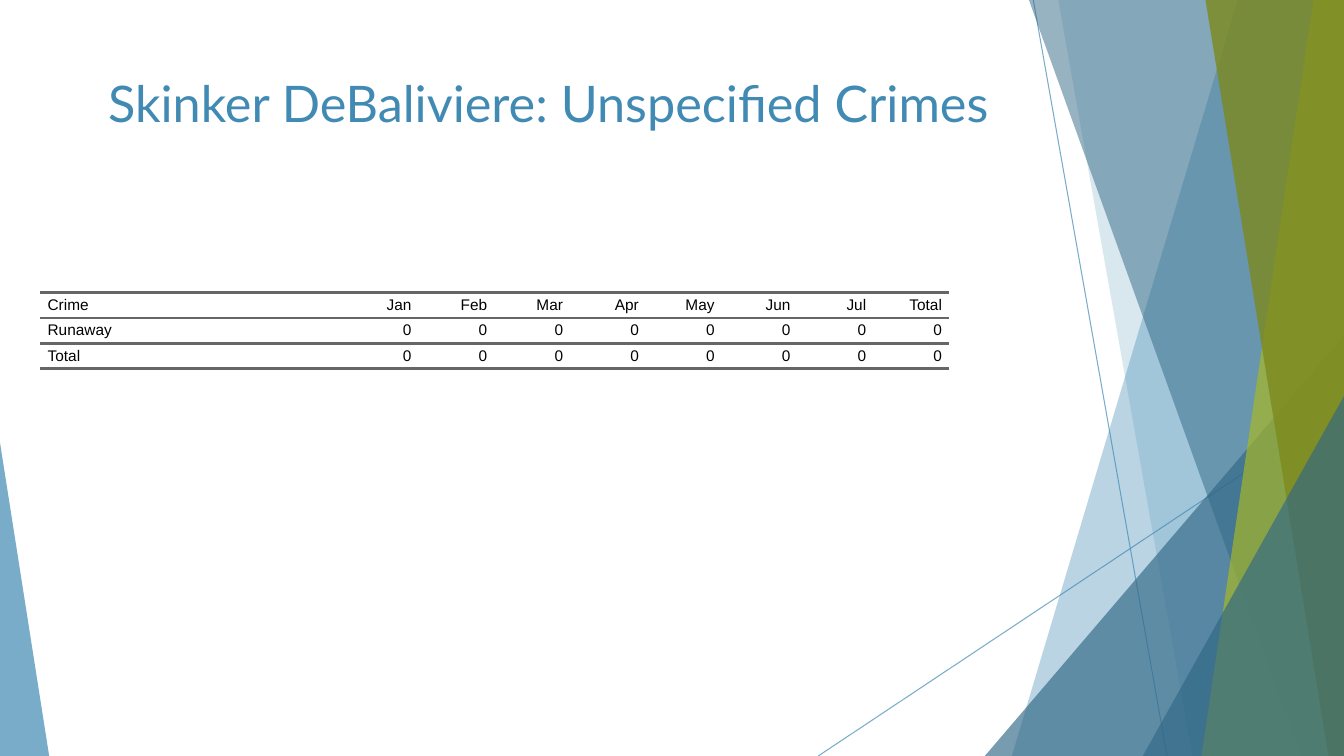
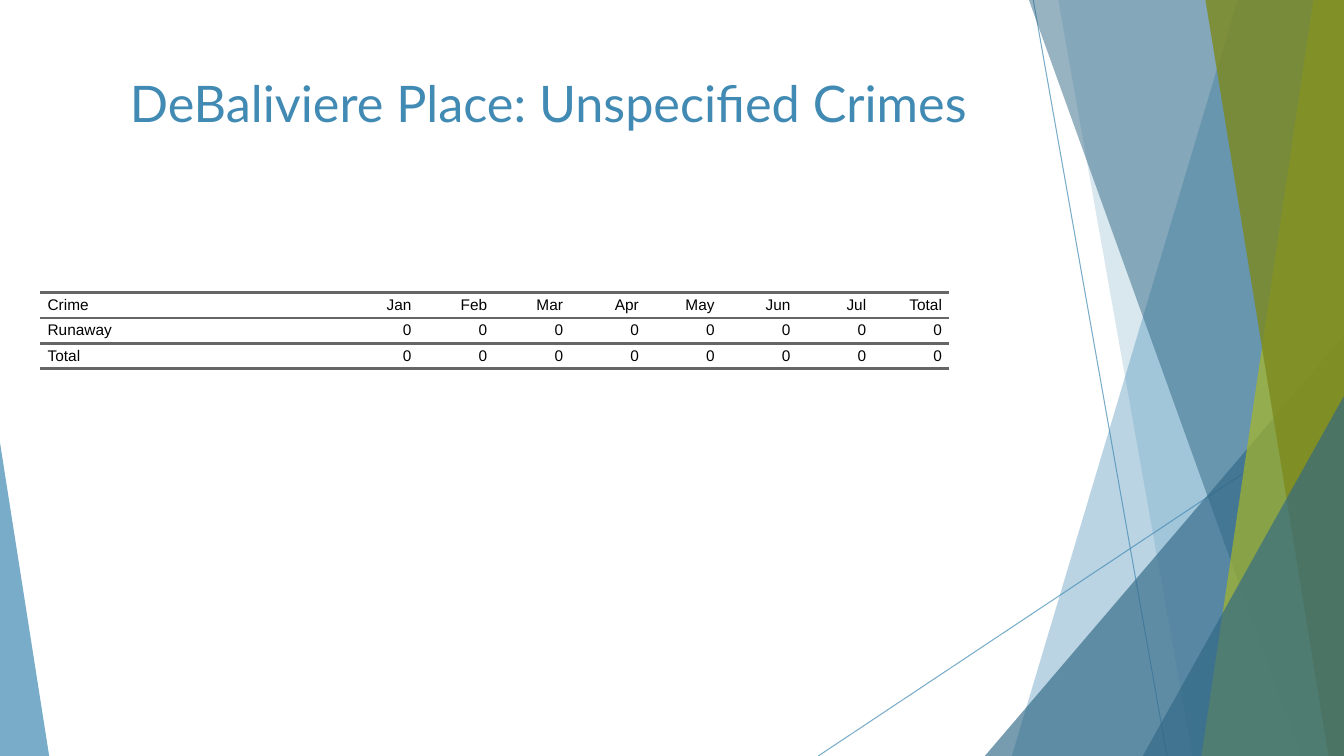
"""Two slides of monthly crime counts on one shared layout of slanted bands."""
from dataclasses import dataclass

from lxml import etree
from pptx import Presentation
from pptx.dml.color import RGBColor
from pptx.enum.shapes import MSO_CONNECTOR, MSO_SHAPE
from pptx.enum.text import MSO_ANCHOR, MSO_AUTO_SIZE, PP_ALIGN
from pptx.oxml.ns import qn
from pptx.util import Cm, Pt

STRAIGHT = MSO_CONNECTOR.STRAIGHT
TRIANGLE = MSO_SHAPE.ISOSCELES_TRIANGLE
TOP, MIDDLE = MSO_ANCHOR.TOP, MSO_ANCHOR.MIDDLE
LEFT, CENTER, RIGHT = PP_ALIGN.LEFT, PP_ALIGN.CENTER, PP_ALIGN.RIGHT
FIXED = MSO_AUTO_SIZE.NONE


@dataclass(frozen=True)
class Theme:
    """Colours, fonts and type sizes."""
    blue: str = "418AB3"
    navy: str = "316886"
    lime: str = "A6B727"
    olive: str = "7D891D"
    gray: str = "666666"
    black: str = "000000"
    head: str = "Lato"
    body: str = "Arial"
    big: int = 36
    small: int = 11
    thin: float = 0.75
    rule: int = 2


THEME = Theme()
WIDE, HIGH = 33.87, 19.05
PLAIN = "{2D5ABB26-0587-4C30-8999-92F81FD0307C}"

HEADER = ["Crime", "Jan", "Feb", "Mar", "Apr", "May", "Jun", "Jul", "Total"]
ZEROS = ["0"] * 8
SLIDES = [
    ("Skinker DeBaliviere: Unspecified Crimes",
     [HEADER, ["Runaway", *ZEROS], ["Total", *ZEROS]]),
    ("DeBaliviere Place: Unspecified Crimes",
     [HEADER, ["Runaway", *ZEROS], ["Total", *ZEROS]]),
]

DECOR = [
    ("line", (26.04, 0, 29.41, HIGH), THEME.blue, 70),
    ("line", (WIDE, 10.24, 20.62, HIGH), THEME.blue, 70),
    ("band", (31.19, 25.5), THEME.blue, 36),
    ("band", (26.67, 30.05), THEME.blue, 20),
    ("wedge", (24.82, 8.46, 9.05, 1), THEME.navy, 66),
    ("band", (25.93, 32.79), THEME.navy, 50),
    ("band", (33.1, 30.28), THEME.lime, 70),
    ("band", (30.38, 33.48), THEME.olive, 80),
    ("wedge", (28.8, 9.98, 5.07, 1), THEME.navy, 66),
    ("wedge", (0, 11.15, 1.24, 0), THEME.blue, 70),
]
TITLE = {"left": Cm(1.88), "top": Cm(1.7), "width": Cm(23.88), "height": Cm(3.66)}
GRID = {"left": 1.02, "top": 7.37, "first": 7.62, "col": 1.91, "row": 0.64}
PAD = Cm(0.18)


def apply(item, values):
    for name, value in values.items():
        setattr(item, name, value)


def style(part, font, size, color, align):
    part.alignment = align
    apply(part.font, {"name": font, "size": Pt(size), "bold": False})
    part.font.color.rgb = RGBColor.from_string(color)


def line(shapes, x1, y1, x2, y2):
    return shapes.add_connector(STRAIGHT, Cm(x1), Cm(y1), Cm(x2), Cm(y2))


def band(shapes, top, base):
    path = shapes.build_freeform(Cm(top), 0)
    points = [(WIDE, 0), (WIDE, HIGH), (base, HIGH)]
    path.add_line_segments([(Cm(x), Cm(y)) for x, y in points])
    return path.convert_to_shape()


def wedge(shapes, x, y, width, tip):
    shape = shapes.add_shape(TRIANGLE, Cm(x), Cm(y), Cm(width), Cm(HIGH - y))
    shape.adjustments[0] = tip
    return shape


def decorate(shapes, anchor):
    """Draw the bands and move them behind the layout's title."""
    makers = {"line": line, "band": band, "wedge": wedge}
    for kind, place, color, alpha in DECOR:
        shape = makers[kind](shapes, *place)
        rgb = RGBColor.from_string(color)
        if kind == "line":
            shape.line.color.rgb = rgb
            shape.line.width = Pt(THEME.thin)
            etree.SubElement(shape.element.spPr, qn("a:effectLst"))
        else:
            shape.fill.solid()
            shape.fill.fore_color.rgb = rgb
            shape.line.fill.background()
            shape.shadow.inherit = False
        for tint in shape.element.spPr.iter(qn("a:srgbClr")):
            etree.SubElement(tint, qn("a:alpha"), val=str(alpha * 1000))
        anchor.addprevious(shape.element)


def border(cell, side):
    props = cell._tc.get_or_add_tcPr()
    edge = etree.SubElement(props, qn(f"a:{side}"), w=str(Pt(THEME.rule)))
    fill = etree.SubElement(edge, qn("a:solidFill"))
    etree.SubElement(fill, qn("a:srgbClr"), val=THEME.gray)


def add_grid(shapes, rows):
    count, cols = len(rows), len(rows[0])
    width = GRID["first"] + GRID["col"] * (cols - 1)
    frame = shapes.add_table(count, cols, Cm(GRID["left"]), Cm(GRID["top"]),
                             Cm(width), Cm(GRID["row"] * count))
    frame.element.find(".//" + qn("a:tableStyleId")).text = PLAIN
    table = frame.table
    apply(table, {"first_row": False, "horz_banding": False})
    for c, col in enumerate(table.columns):
        col.width = Cm(GRID["col"] if c else GRID["first"])
    for r, row in enumerate(rows):
        table.rows[r].height = Cm(GRID["row"])
        sides = {0: ["lnT", "lnB"], 1: ["lnT"], count - 1: ["lnB"]}.get(r, [])
        for c, text in enumerate(row):
            cell = table.cell(r, c)
            apply(cell, {"text": text, "vertical_anchor": MIDDLE,
                         "margin_left": PAD, "margin_right": PAD,
                         "margin_top": 0, "margin_bottom": 0})
            style(cell.text_frame.paragraphs[0], THEME.body, THEME.small,
                  THEME.black, RIGHT if c else LEFT)
            for side in sides:
                border(cell, side)
            cell.fill.background()


def main():
    deck = Presentation()
    apply(deck, {"slide_width": Cm(WIDE), "slide_height": Cm(HIGH)})
    layout = deck.slide_layouts.get_by_name("Title Only")
    head, *rest = layout.placeholders
    apply(head, TITLE)
    for item in rest:
        item.element.getparent().remove(item.element)
    for index, (text, rows) in enumerate(SLIDES):
        slide = deck.slides.add_slide(layout)
        if index == 0:
            decorate(slide.shapes, head.element)
        add_grid(slide.shapes, rows)
        frame = slide.shapes.title.text_frame
        apply(frame, {"text": text, "vertical_anchor": TOP,
                      "word_wrap": True, "auto_size": FIXED})
        style(frame.paragraphs[0], THEME.head, THEME.big, THEME.blue, CENTER)
    deck.save("out.pptx")


if __name__ == "__main__":
    main()
